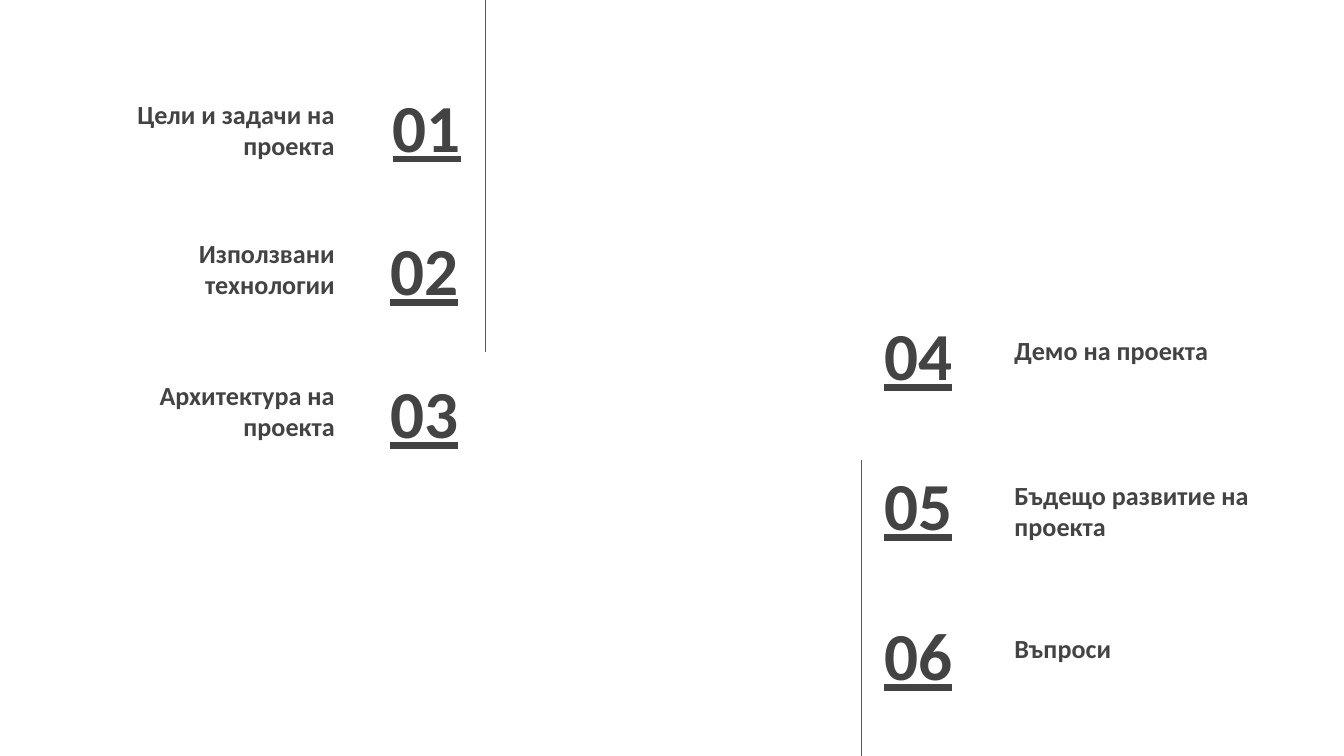
from dataclasses import dataclass

from lxml.etree import SubElement
from pptx import Presentation
from pptx.dml.color import RGBColor
from pptx.enum.shapes import MSO_CONNECTOR
from pptx.enum.text import MSO_ANCHOR, MSO_AUTO_SIZE, PP_ALIGN
from pptx.oxml.ns import qn
from pptx.util import Pt


@dataclass(frozen=True)
class Theme:
    """Colours, font and type sizes of the agenda."""
    font: str = "Calibri"
    text: RGBColor = RGBColor(0x43, 0x43, 0x43)
    rule: RGBColor = RGBColor(0x59, 0x59, 0x59)
    background: RGBColor = RGBColor(0xFF, 0xFF, 0xFF)
    number_size: int = 36
    label_size: int = 14
    rule_width: float = 0.75


@dataclass(frozen=True)
class Column:
    """Horizontal layout of one side of the agenda, in points."""
    number_left: float
    number_width: float
    label_left: float
    align: PP_ALIGN


THEME = Theme()
BOX_HEIGHT = 45.4
LABEL_WIDTH = 155.5
INSET = 7.2
LEFT = Column(165.6, 87.1, 31, PP_ALIGN.RIGHT)
RIGHT = Column(466.6, 84.2, 536.4, PP_ALIGN.LEFT)
LEFT_ITEMS = [
    ("01", "Цели и задачи на проекта", 44.6, 48.2),
    ("02", "Използвани технологии", 121.5, 122.4),
    ("03", "Архитектура на проекта", 198, 198.7),
]
RIGHT_ITEMS = [
    ("04", "Демо на проекта", 167, 157.7),
    ("05", "Бъдещо развитие на проекта", 247.2, 252),
    ("06", "Въпроси", 327.6, 317.5),
]


def write_text(shape, text, size, align, anchor, underline=False):
    """Fill a text shape with one bold line of agenda text."""
    frame = shape.text_frame
    frame.text = text
    frame.word_wrap = True
    frame.auto_size = MSO_AUTO_SIZE.NONE
    frame.vertical_anchor = anchor
    frame.margin_left = frame.margin_right = Pt(INSET)
    frame.margin_top = frame.margin_bottom = Pt(INSET)
    paragraph = frame.paragraphs[0]
    paragraph.alignment = align
    font = paragraph.runs[0].font
    font.name = THEME.font
    font.size = Pt(size)
    font.bold = True
    font.underline = underline
    font.color.rgb = THEME.text


def add_number(slide, column, left, top, text):
    """Add an underlined agenda number."""
    shape = slide.shapes.add_textbox(Pt(left), Pt(top), Pt(column.number_width), Pt(BOX_HEIGHT))
    write_text(shape, text, THEME.number_size, column.align, MSO_ANCHOR.MIDDLE, True)


def add_label(slide, column, top, text, placeholder=None):
    """Add an agenda label, in the title placeholder when one is given."""
    shape = placeholder or slide.shapes.add_textbox(0, 0, 0, 0)
    shape.left, shape.top = Pt(column.label_left), Pt(top)
    shape.width, shape.height = Pt(LABEL_WIDTH), Pt(BOX_HEIGHT)
    write_text(shape, text, THEME.label_size, column.align, MSO_ANCHOR.BOTTOM)


def add_rule(slide, x, top, bottom):
    """Add a thin vertical rule."""
    rule = slide.shapes.add_connector(MSO_CONNECTOR.STRAIGHT, Pt(x), Pt(top), Pt(x), Pt(bottom))
    rule.line.color.rgb = THEME.rule
    rule.line.width = Pt(THEME.rule_width)
    SubElement(rule._element.spPr, qn("a:effectLst"))


def main():
    """Build and save the agenda slide."""
    presentation = Presentation()
    presentation.slide_width, presentation.slide_height = Pt(720), Pt(405)
    slide = presentation.slides.add_slide(presentation.slide_layouts[5])
    slide.background.fill.solid()
    slide.background.fill.fore_color.rgb = THEME.background

    title = slide.shapes.title
    for column, items in ((LEFT, LEFT_ITEMS), (RIGHT, RIGHT_ITEMS)):
        for number, label, number_top, label_top in items:
            nudge = 1.4 if number == "01" else 0
            add_number(slide, column, column.number_left + nudge, number_top, number)
            add_label(slide, column, label_top, label, title)
            title = None

    add_rule(slide, 260, 0, 188.6)
    add_rule(slide, 461.5, 246.2, 405)
    presentation.save("out.pptx")


if __name__ == "__main__":
    main()
